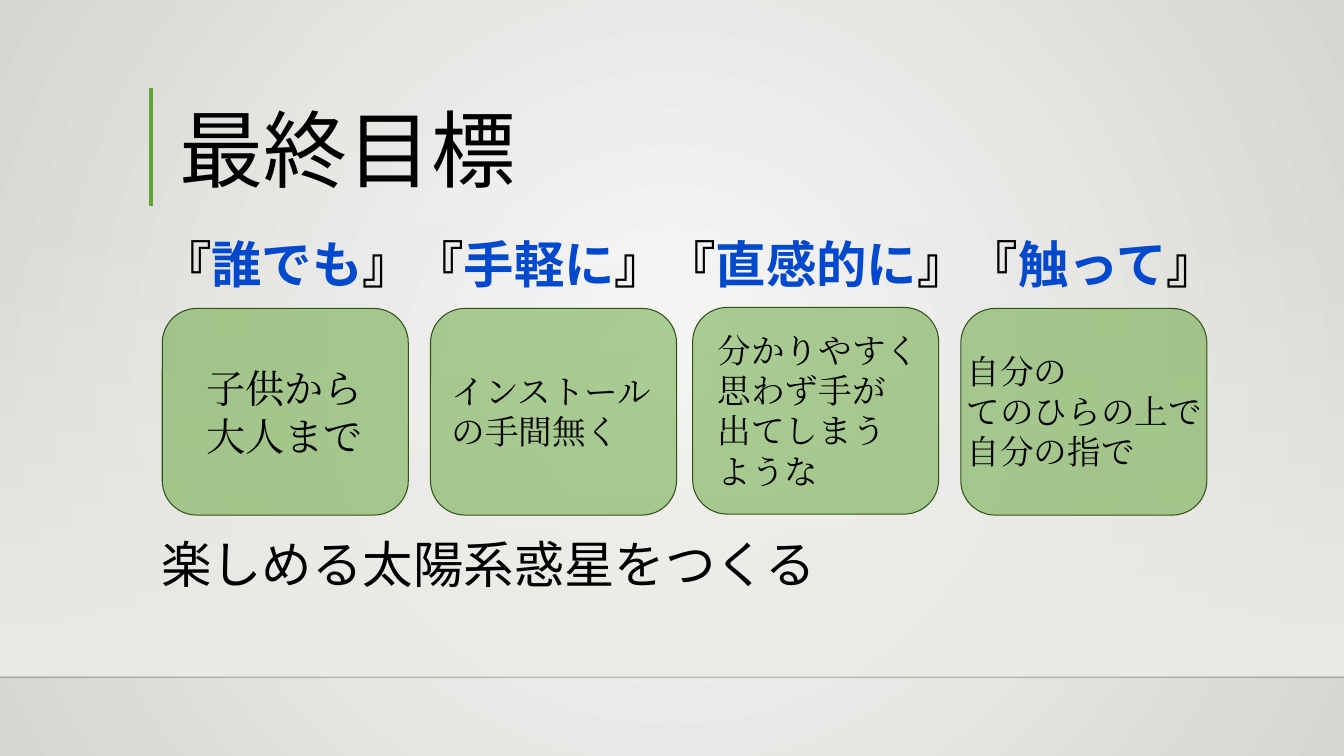
from dataclasses import dataclass

from pptx import Presentation
from pptx.dml.color import RGBColor
from pptx.enum.shapes import MSO_CONNECTOR as Connector, MSO_SHAPE as Shape
from pptx.enum.text import MSO_ANCHOR as Anchor, MSO_AUTO_SIZE as AutoSize, PP_ALIGN as Align
from pptx.oxml.ns import qn
from pptx.util import Inches, Pt


@dataclass(frozen=True)
class Theme:
    heading_font: str = "Noto Sans CJK JP"
    card_font: str = "Cambria"
    ink: str = "000000"
    keyword: str = "0049CC"
    green: str = "5FA534"
    card_edge: str = "2F521A"
    floor_line: str = "000001"
    wall: str = "EDEBE7"
    glow: tuple = ("FAFAF9", "D7D5D2")
    title_size: int = 60
    body_size: int = 36


def set_alpha(color_element, percent):
    alpha = color_element.makeelement(qn("a:alpha"), {"val": str(percent * 1000)})
    color_element.append(alpha)


def set_gradient(fill, colors):
    fill.gradient()
    for stop, color in zip(fill.gradient_stops, colors):
        stop.color.rgb = RGBColor.from_string(color)


class GoalSlide:
    def __init__(self, deck, theme):
        self.theme = theme
        self.slide = deck.slides.add_slide(deck.slide_layouts[5])
        self.shapes = self.slide.shapes

    def background(self):
        """Paint a radial glow that is lightest at the centre."""
        set_gradient(self.slide.background.fill, self.theme.glow)
        gradient = next(self.slide.element.iter(qn("a:gradFill")))
        gradient.remove(gradient.find(qn("a:lin")))
        path = gradient.makeelement(qn("a:path"), {"path": "circle"})
        center = {side: "50000" for side in "ltrb"}
        path.append(path.makeelement(qn("a:fillToRect"), center))
        gradient.append(path)

    def wall(self, left, top, width, height):
        """Add a panel that fades in from top to bottom."""
        wall = self.shapes.add_shape(
            Shape.RECTANGLE, Inches(left), Inches(top), Inches(width), Inches(height))
        wall.shadow.inherit = False
        wall.line.fill.background()
        set_gradient(wall.fill, [self.theme.wall] * 2)
        wall.fill.gradient_angle = 270
        set_alpha(next(wall.element.iter(qn("a:gs")))[0], 0)

    def line(self, start, end, color, width, opacity=100):
        line = self.shapes.add_connector(
            Connector.STRAIGHT, *(Inches(value) for value in (*start, *end)))
        line.line.color.rgb = RGBColor.from_string(color)
        line.line.width = Pt(width)
        properties = line.element.spPr
        if opacity < 100:
            set_alpha(next(properties.iter(qn("a:srgbClr"))), opacity)
        properties.append(properties.makeelement(qn("a:effectLst"), {}))

    def style_run(self, run, font, size, color, bold=False):
        run.font.name = font
        run.font.size = Pt(size)
        run.font.bold = bold
        run.font.color.rgb = RGBColor.from_string(color)
        properties = run.font._element
        properties.set("lang", "ja-JP")
        latin = properties.find(qn("a:latin"))
        latin.addnext(latin.makeelement(qn("a:ea"), {"typeface": font}))

    def title(self, text, left, top, width, height):
        title = self.shapes.title
        title.left, title.top = Inches(left), Inches(top)
        title.width, title.height = Inches(width), Inches(height)
        frame = title.text_frame
        frame.text = text
        frame.auto_size = AutoSize.NONE
        frame.vertical_anchor = Anchor.BOTTOM
        paragraph = frame.paragraphs[0]
        paragraph.alignment = Align.LEFT
        paragraph.line_spacing = 0.9
        self.style_run(paragraph.runs[0], self.theme.heading_font,
                       self.theme.title_size, self.theme.ink)

    def body(self, keywords, conclusion, left, top, width, height):
        """Put the bracketed keywords above the cards and the conclusion below."""
        theme = self.theme
        frame = self.shapes.add_textbox(
            Inches(left), Inches(top), Inches(width), Inches(height)).text_frame
        frame.word_wrap = True
        frame.margin_top = Inches(0.28)
        headline = frame.paragraphs[0]
        for keyword in keywords:
            for text, color in (("『", theme.ink), (keyword, theme.keyword), ("』", theme.ink)):
                run = headline.add_run()
                run.text = text
                self.style_run(run, theme.heading_font, theme.body_size, color, bold=True)
        closing = frame.add_paragraph()
        closing.text = conclusion
        closing.space_before = Pt(171)
        self.style_run(closing.runs[0], theme.heading_font, theme.body_size, theme.ink)

    def card(self, position, lines, text_box, size):
        group = self.shapes.add_group_shape().shapes
        left, top = position
        panel = group.add_shape(
            Shape.ROUNDED_RECTANGLE, Inches(left), Inches(top), Inches(2.44), Inches(2.05))
        panel.shadow.inherit = False
        panel.fill.solid()
        panel.fill.fore_color.rgb = RGBColor.from_string(self.theme.green)
        set_alpha(next(panel.element.spPr.iter(qn("a:srgbClr"))), 50)
        panel.line.color.rgb = RGBColor.from_string(self.theme.card_edge)
        panel.line.width = Pt(0.75)

        frame = group.add_textbox(*(Inches(value) for value in text_box)).text_frame
        frame.word_wrap = False
        frame.auto_size = AutoSize.SHAPE_TO_FIT_TEXT
        frame.text = "\n".join(lines)
        for paragraph in frame.paragraphs:
            self.style_run(paragraph.runs[0], self.theme.card_font, size, self.theme.ink)


# keyword, card position, lines, text box, text size
GOALS = [
    ("誰でも", (1.61, 3.06), ["子供から", "大人まで"], (1.95, 3.57, 1.77, 1.04), 28),
    ("手軽に", (4.27, 3.06), ["インストール", "の手間無く"], (4.38, 3.63, 2.22, 0.91), 24),
    ("直感的に", (6.87, 3.05), ["分かりやすく", "思わず手が", "出てしまう", "ような"],
     (7.02, 3.22, 2.22, 1.72), 24),
    ("触って", (9.53, 3.06), ["自分の", "てのひらの上で", "自分の指で"],
     (9.49, 3.43, 2.56, 1.31), 24),
]


def main():
    deck = Presentation()
    deck.slide_width, deck.slide_height = Inches(13.33), Inches(7.5)
    theme = Theme()
    goal = GoalSlide(deck, theme)
    goal.background()
    goal.wall(0, 2.2, 13.33, 4.5)
    goal.line((0, 6.72), (13.33, 6.72), theme.floor_line, 1, opacity=20)
    goal.line((1.5, 0.87), (1.5, 2.04), theme.green, 3)
    goal.title("最終目標", 1.68, 0.88, 10.41, 1.15)
    goal.body([keyword for keyword, *_ in GOALS], "楽しめる太陽系惑星をつくる",
              1.5, 2.03, 10.77, 4.82)
    for _, position, lines, text_box, size in GOALS:
        goal.card(position, lines, text_box, size)
    deck.save("out.pptx")


if __name__ == "__main__":
    main()
